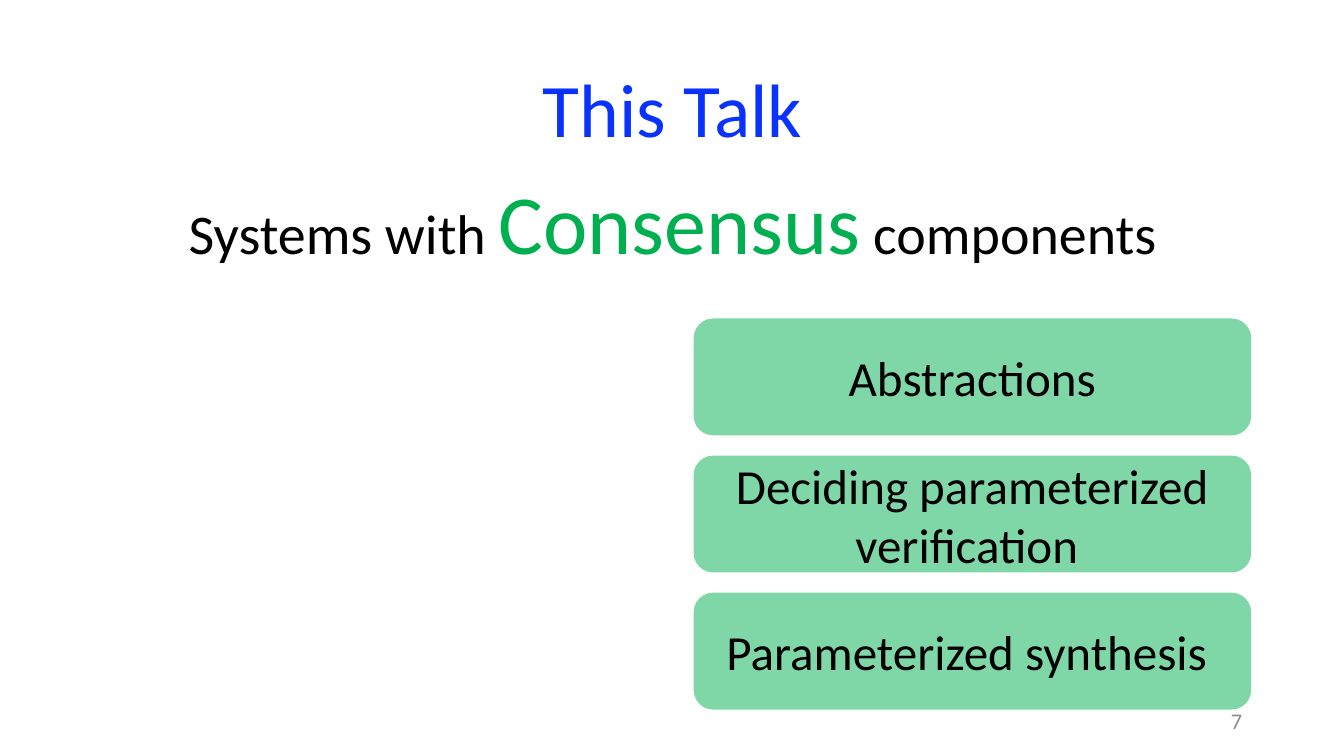
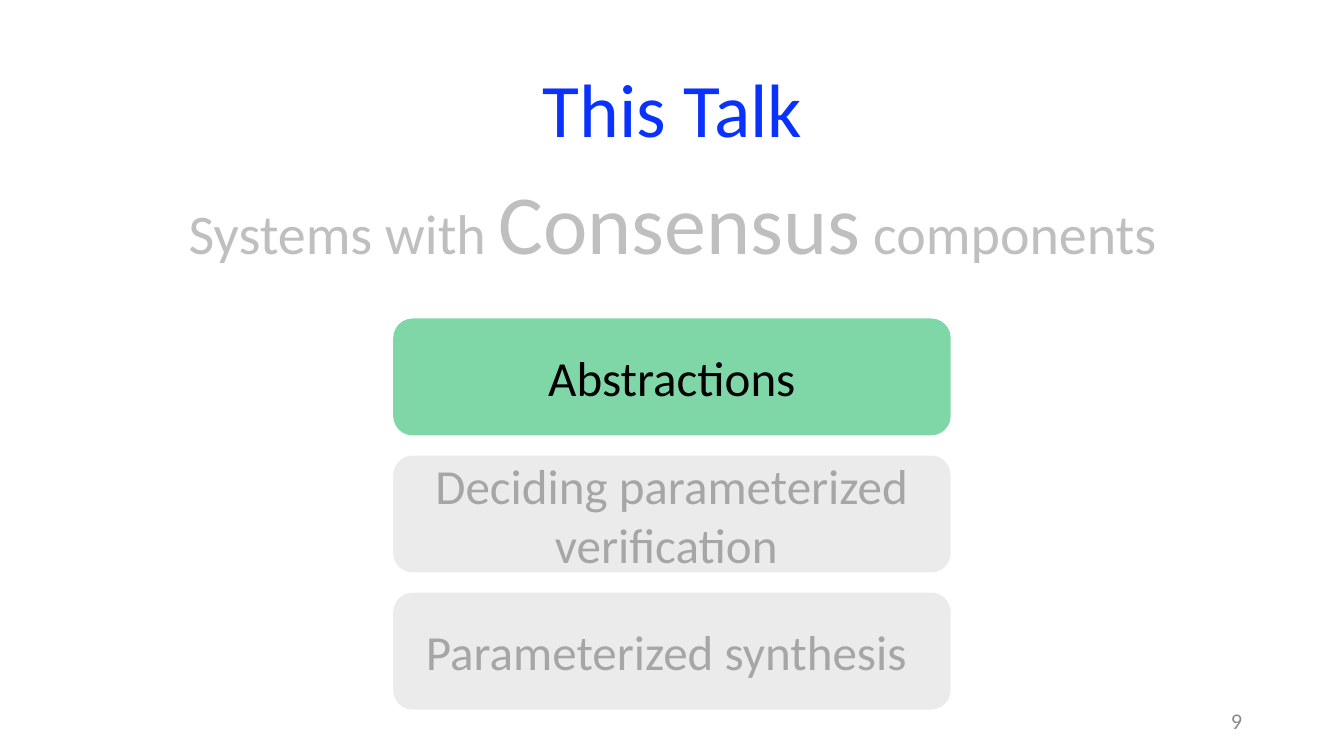
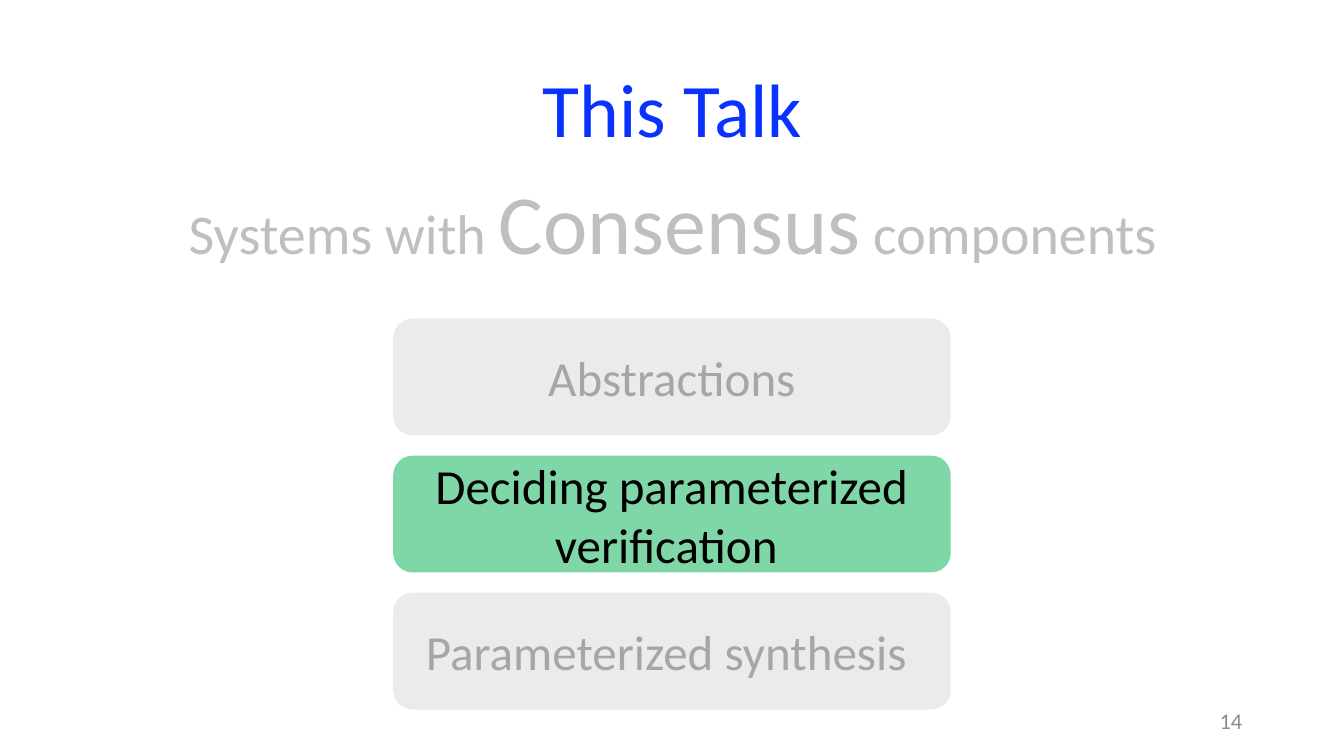
from lxml import etree
from pptx import Presentation
from pptx import util as u
from pptx.dml.color import RGBColor
from pptx.enum import shapes, text
from pptx.oxml.ns import qn

FONT = "Calibri"
BLUE, GREEN, BLACK = "0A32FF", "00B050", "000000"
PALE, MUTED, DIM, FOOTER = "D9D9D9", "A6A6A6", "BFBFBF", "8C8C8C"

# Content column and the stack of topics
MARGIN, CONTENT_WIDTH = 0.92, 11.5
TOPIC_WIDTH, TOPIC_HEIGHT, TOPIC_GAP, TOPIC_TOP = 5.53, 1.16, 0.2, 3.16
CENTER_LEFT, RIGHT_LEFT = 3.9, 6.88
TOPICS = [
    "Abstractions",
    "Deciding parameterized verification ",
    "Parameterized synthesis ",
]


def rgb(value):
    return RGBColor.from_string(value)


class Deck:
    """Holds the shared style and the current slide."""

    def __init__(self):
        self.prs = Presentation()
        self.prs.slide_width = u.Inches(13.33)
        self.prs.slide_height = u.Inches(7.5)
        self.slide = None

    def new_slide(self):
        self.slide = self.prs.slides.add_slide(self.prs.slide_layouts[1])

    def place(self, shape, left, top, width, height):
        shape.left, shape.top = u.Inches(left), u.Inches(top)
        shape.width, shape.height = u.Inches(width), u.Inches(height)

    def set_line(self, shape, parts, align=text.PP_ALIGN.CENTER,
                 anchor=text.MSO_ANCHOR.MIDDLE, spacing=1.0):
        """Fill one paragraph from (wording, size, colour) parts."""
        frame = shape.text_frame
        frame.word_wrap = True
        frame.auto_size = text.MSO_AUTO_SIZE.NONE
        frame.vertical_anchor = anchor
        paragraph = frame.paragraphs[0]
        paragraph.alignment = align
        paragraph.line_spacing = spacing
        paragraph.space_before = u.Pt(0)
        for wording, size, color in parts:
            run = paragraph.add_run()
            run.text = wording
            run.font.name = FONT
            run.font.size = u.Pt(size)
            run.font.color.rgb = rgb(color)

    def title(self, wording):
        title = self.slide.shapes.title
        self.place(title, MARGIN, 0.4, CONTENT_WIDTH, 1.45)
        self.set_line(title, [(wording, 54, BLUE)], spacing=0.9)

    def subject(self, color, accent):
        body = self.slide.placeholders[1]
        self.place(body, MARGIN, 1.75, CONTENT_WIDTH, 1.44)
        # Plain centred line: no bullet and no hanging indent
        properties = body.text_frame.paragraphs[0]._p.get_or_add_pPr()
        properties.set("marL", "0")
        properties.set("indent", "0")
        etree.SubElement(properties, qn("a:buNone"))
        self.set_line(body, [("Systems with ", 40, color),
                             ("Consensus", 60, accent),
                             (" components", 40, color)],
                      anchor=text.MSO_ANCHOR.TOP, spacing=0.9)

    def topic(self, wording, left, top, active):
        box = self.slide.shapes.add_shape(
            shapes.MSO_SHAPE.ROUNDED_RECTANGLE, u.Inches(left), u.Inches(top),
            u.Inches(TOPIC_WIDTH), u.Inches(TOPIC_HEIGHT))
        box.shadow.inherit = False
        box.line.fill.background()
        box.fill.solid()
        box.fill.fore_color.rgb = rgb(GREEN if active else PALE)
        # Half transparent fill
        fill_color = box._element.spPr.find(qn("a:solidFill"))[0]
        etree.SubElement(fill_color, qn("a:alpha"), val="50000")
        self.set_line(box, [(wording, 35, BLACK if active else MUTED)])

    def topics(self, left, active):
        for row, wording in enumerate(TOPICS):
            top = TOPIC_TOP + row * (TOPIC_HEIGHT + TOPIC_GAP)
            self.topic(wording, left, top, row in active)

    def page_number(self, number):
        box = self.slide.shapes.add_textbox(
            u.Inches(9.42), u.Inches(6.95), u.Inches(3), u.Inches(0.4))
        self.set_line(box, [(str(number), 16, FOOTER)], text.PP_ALIGN.RIGHT)


def main():
    deck = Deck()
    # Page number, left edge of the topics, active rows, subject colours
    agenda = [
        (7, RIGHT_LEFT, (0, 1, 2), BLACK, GREEN),
        (9, CENTER_LEFT, (0,), DIM, DIM),
        (14, CENTER_LEFT, (1,), DIM, DIM),
    ]
    for number, left, active, color, accent in agenda:
        deck.new_slide()
        deck.title("This Talk")
        deck.subject(color, accent)
        deck.topics(left, active)
        deck.page_number(number)
    deck.prs.save("out.pptx")


if __name__ == "__main__":
    main()
